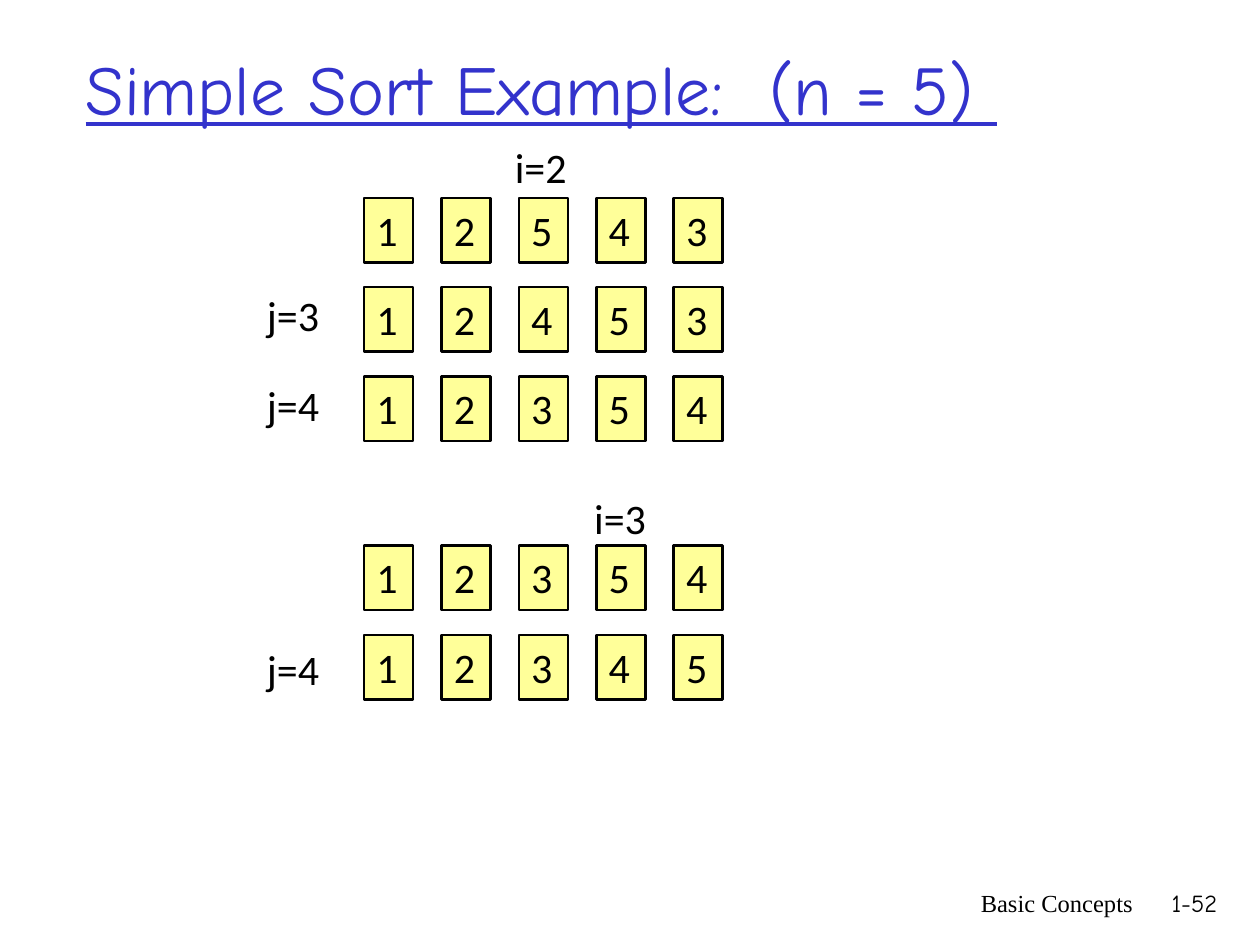
from pptx import Presentation
from pptx.dml.color import RGBColor
from pptx.enum.shapes import MSO_SHAPE
from pptx.enum.text import MSO_ANCHOR, MSO_AUTO_SIZE, PP_ALIGN
from pptx.util import Cm, Pt


def color(hex_code):
    return RGBColor.from_string(hex_code)


def write(shape, text, font_name, size, hex_code="000000", align=PP_ALIGN.LEFT, anchor=MSO_ANCHOR.TOP):
    frame = shape.text_frame
    frame.text = text
    frame.word_wrap = True
    frame.auto_size = MSO_AUTO_SIZE.NONE
    frame.vertical_anchor = anchor
    paragraph = frame.paragraphs[0]
    paragraph.alignment = align
    font = paragraph.runs[0].font
    font.name = font_name
    font.size = Pt(size)
    font.color.rgb = color(hex_code)
    return font


deck = Presentation()
deck.slide_width, deck.slide_height = Cm(25.4), Cm(19.05)
slide = deck.slides.add_slide(deck.slide_layouts[5])

heading = slide.shapes.title
heading.left, heading.top, heading.width, heading.height = Cm(1.47), Cm(0.64), Cm(21.59), Cm(2.24)
heading_font = write(heading, "Simple Sort Example:  (n = 5) ", "Comic Neue", 40, "3333CC", anchor=MSO_ANCHOR.MIDDLE)
heading_font.underline = True

first_left, column_step = 7.34, 1.56
cell_width, cell_height = 0.99, 1.3
sort_steps = [
    (3.99, "12543", "i=2", 10.13, 2.72),
    (5.79, "12453", "j=3", 5.13, 5.72),
    (7.59, "12354", "j=4", 5.13, 7.52),
    (11, "12354", "i=3", 11.73, 9.8),
    (12.8, "12345", "j=4", 5.13, 12.85),
]
for row_top, digits, index_text, index_left, index_top in sort_steps:
    step = slide.shapes.add_group_shape()
    for column, digit in enumerate(digits):
        cell = step.shapes.add_shape(
            MSO_SHAPE.RECTANGLE,
            Cm(first_left + column * column_step), Cm(row_top), Cm(cell_width), Cm(cell_height),
        )
        cell.shadow.inherit = False
        cell.fill.solid()
        cell.fill.fore_color.rgb = color("FFFF99")
        cell.line.color.rgb = color("000000")
        cell.line.width = Pt(1.5)
        write(cell, digit, "Calibri", 24)
        cell.text_frame.word_wrap = False
        cell.text_frame.auto_size = MSO_AUTO_SIZE.SHAPE_TO_FIT_TEXT
    index_label = step.shapes.add_textbox(Cm(index_left), Cm(index_top), Cm(1.8), Cm(1.28))
    write(index_label, index_text, "Calibri", 24)
    index_label.text_frame.auto_size = MSO_AUTO_SIZE.SHAPE_TO_FIT_TEXT

footer_items = [
    ("Basic Concepts", "Times New Roman", 15.04, 8.05),
    ("1-52", "Comic Neue", 23.06, 1.73),
]
for text, font_name, left, width in footer_items:
    footer = slide.shapes.add_textbox(Cm(left), Cm(17.78), Cm(width), Cm(1.27))
    write(footer, text, font_name, 14, align=PP_ALIGN.RIGHT)

deck.save("out.pptx")
